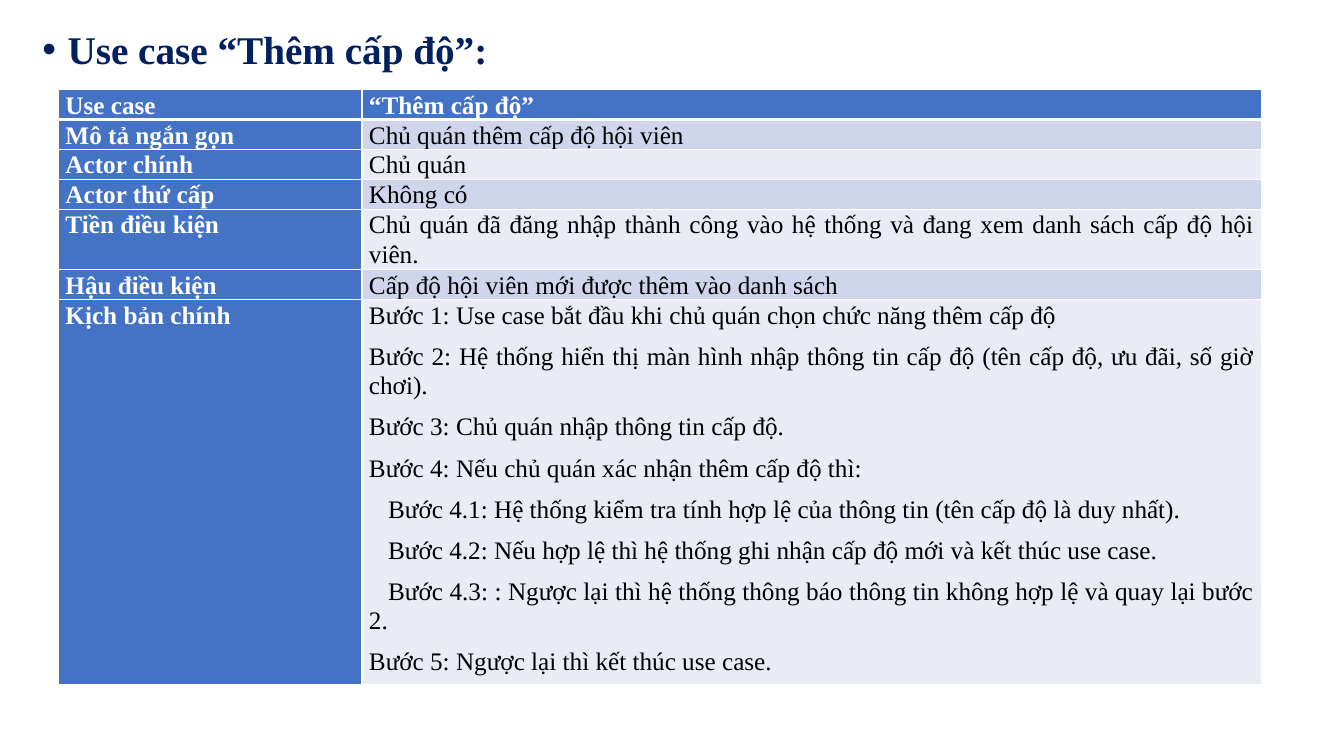
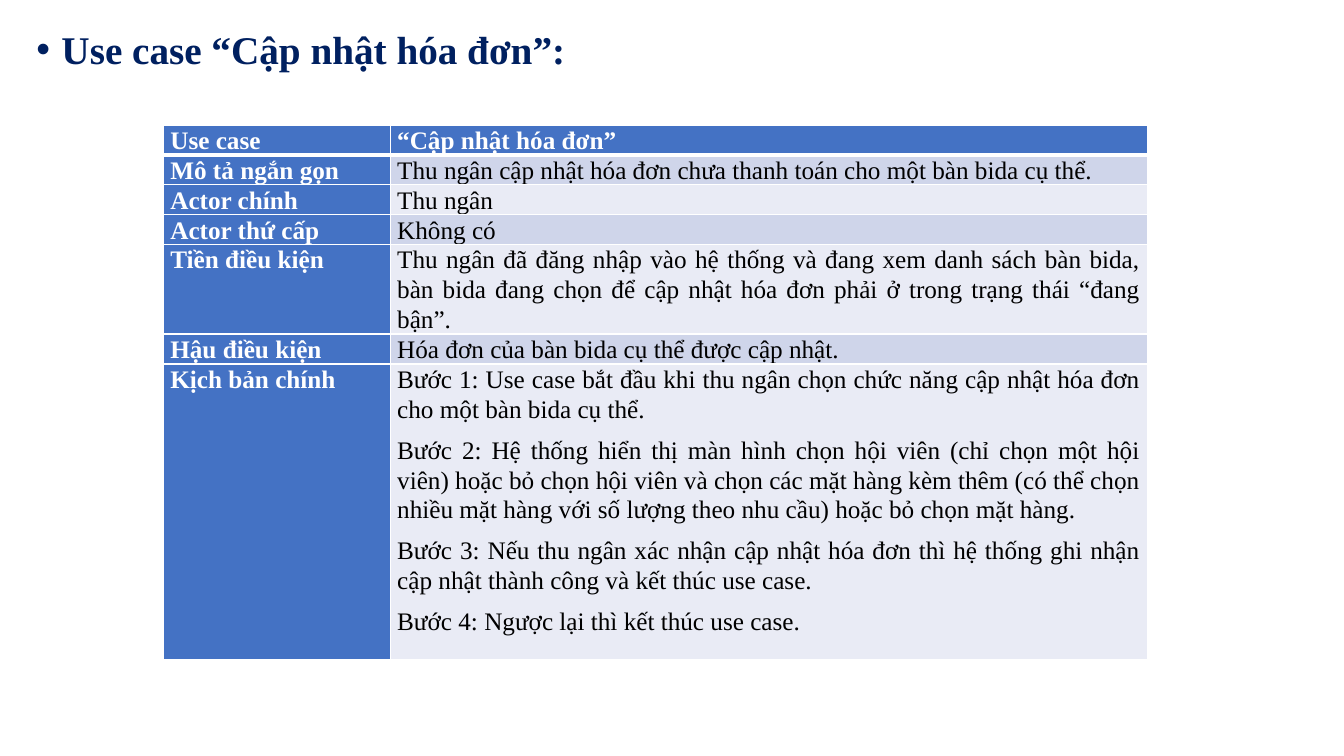
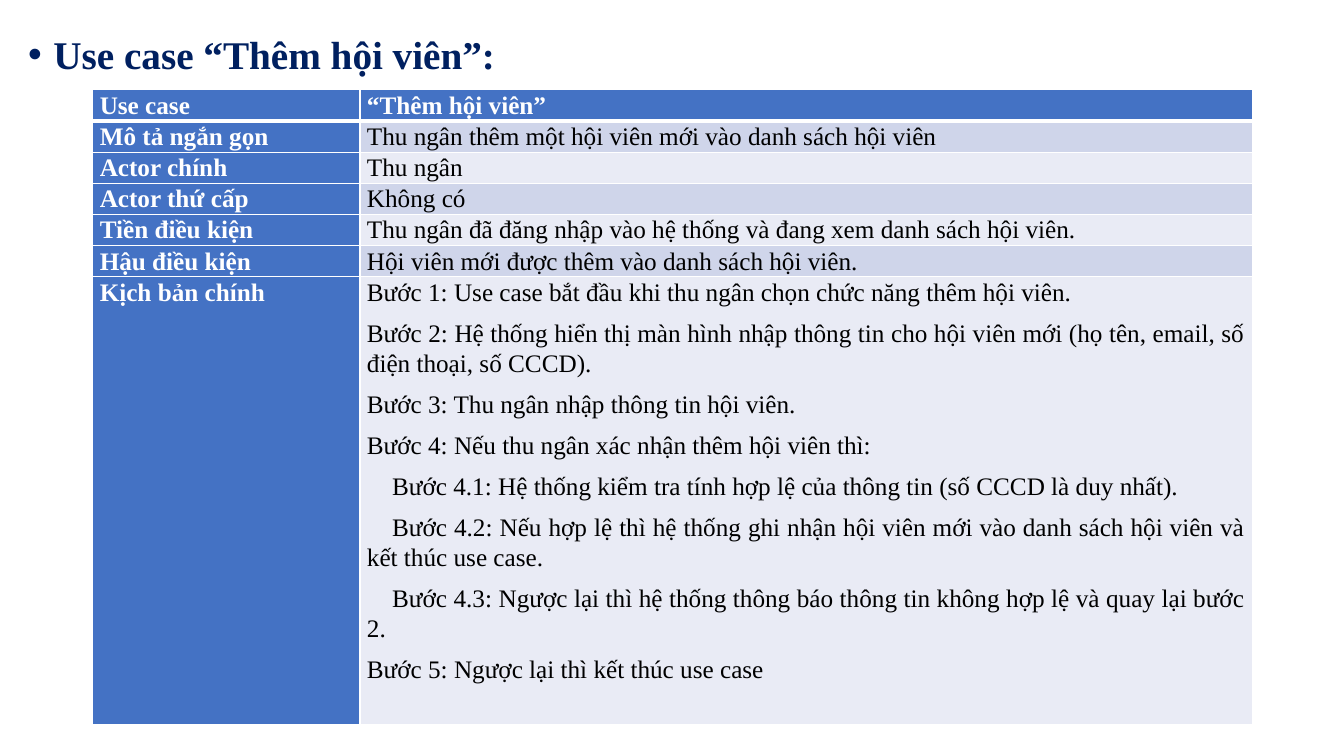
from dataclasses import dataclass

from lxml.etree import SubElement
from pptx import Presentation
from pptx.dml.color import RGBColor
from pptx.enum.text import MSO_ANCHOR as Anchor, MSO_AUTO_SIZE as AutoSize, PP_ALIGN as Align
from pptx.oxml.ns import qn
from pptx.util import Emu, Inches, Pt

# Shared style
FONT = "Times New Roman"
NAVY, BLUE, WHITE, BLACK = "002060", "4472C4", "FFFFFF", "000000"
BANDS = ("E9EBF5", "CFD5EA")
WIDTH, HEIGHT = Inches(13.33), Inches(7.5)
TITLE_WIDTH, TITLE_HEIGHT = 90, 8
CELL_INSET = Inches(0.07)
LABELS = ("Use case", "Mô tả ngắn gọn", "Actor chính", "Actor thứ cấp",
          "Tiền điều kiện", "Hậu điều kiện", "Kịch bản chính")
SUBSTEP = "Bước 4."


@dataclass(frozen=True)
class UseCase:
    """One slide; positions and sizes are percentages of the slide."""
    name: str
    title_at: tuple[float, float]
    table_at: tuple[float, float]
    columns: tuple[float, float]
    line_row: float
    condition_row: float
    steps_row: float
    substep_indent: float  # inches
    facts: tuple[str, ...]
    steps: tuple[str, ...]


USE_CASES = (
    UseCase(
        "“Thêm cấp độ”", (2.4, 3.33), (4.35, 11.87), (22.58, 66.92), 3.87, 8, 50.93, 0.19,
        ("Chủ quán thêm cấp độ hội viên",
         "Chủ quán",
         "Không có",
         "Chủ quán đã đăng nhập thành công vào hệ thống và đang xem danh sách cấp độ hội viên.",
         "Cấp độ hội viên mới được thêm vào danh sách"),
        ("Bước 1: Use case bắt đầu khi chủ quán chọn chức năng thêm cấp độ",
         "Bước 2: Hệ thống hiển thị màn hình nhập thông tin cấp độ (tên cấp độ, ưu đãi, "
         "số giờ chơi).",
         "Bước 3: Chủ quán nhập thông tin cấp độ.",
         "Bước 4: Nếu chủ quán xác nhận thêm cấp độ thì:",
         "Bước 4.1: Hệ thống kiểm tra tính hợp lệ của thông tin (tên cấp độ là duy nhất).",
         "Bước 4.2: Nếu hợp lệ thì hệ thống ghi nhận cấp độ mới và kết thúc use case.",
         "Bước 4.3: : Ngược lại thì hệ thống thông báo thông tin không hợp lệ và quay lại "
         "bước 2.",
         "Bước 5: Ngược lại thì kết thúc use case."),
    ),
    UseCase(
        "“Cập nhật hóa đơn”", (1.95, 3.33), (12.15, 16.53), (16.88, 56.34), 3.6, 11.07, 39.07, 0,
        ("Thu ngân cập nhật hóa đơn chưa thanh toán cho một bàn bida cụ thể.",
         "Thu ngân",
         "Không có",
         "Thu ngân đã đăng nhập vào hệ thống và đang xem danh sách bàn bida, bàn bida đang "
         "chọn để cập nhật hóa đơn phải ở trong trạng thái “đang bận”.",
         "Hóa đơn của bàn bida cụ thể được cập nhật."),
        ("Bước 1: Use case bắt đầu khi thu ngân chọn chức năng cập nhật hóa đơn cho một bàn "
         "bida cụ thể.",
         "Bước 2: Hệ thống hiển thị màn hình chọn hội viên (chỉ chọn một hội viên) hoặc bỏ "
         "chọn hội viên và chọn các mặt hàng kèm thêm (có thể chọn nhiều mặt hàng với số "
         "lượng theo nhu cầu) hoặc bỏ chọn mặt hàng.",
         "Bước 3: Nếu thu ngân xác nhận cập nhật hóa đơn thì hệ thống ghi nhận cập nhật "
         "thành công và kết thúc use case.",
         "Bước 4: Ngược lại thì kết thúc use case."),
    ),
    UseCase(
        "“Thêm hội viên”", (1.35, 4), (6.9, 11.87), (19.88, 66.39), 4.13, 4.13, 59.2, 0.25,
        ("Thu ngân thêm một hội viên mới vào danh sách hội viên",
         "Thu ngân",
         "Không có",
         "Thu ngân đã đăng nhập vào hệ thống và đang xem danh sách hội viên.",
         "Hội viên mới được thêm vào danh sách hội viên."),
        ("Bước 1: Use case bắt đầu khi thu ngân chọn chức năng thêm hội viên.",
         "Bước 2: Hệ thống hiển thị màn hình nhập thông tin cho hội viên mới (họ tên, email, "
         "số điện thoại, số CCCD).",
         "Bước 3: Thu ngân nhập thông tin hội viên.",
         "Bước 4: Nếu thu ngân xác nhận thêm hội viên thì:",
         "Bước 4.1: Hệ thống kiểm tra tính hợp lệ của thông tin (số CCCD là duy nhất).",
         "Bước 4.2: Nếu hợp lệ thì hệ thống ghi nhận hội viên mới vào danh sách hội viên và "
         "kết thúc use case.",
         "Bước 4.3: Ngược lại thì hệ thống thông báo thông tin không hợp lệ và quay lại "
         "bước 2.",
         "Bước 5: Ngược lại thì kết thúc use case"),
    ),
)


def across(percent: float) -> Emu:
    return Emu(round(WIDTH * percent / 100))


def down(percent: float) -> Emu:
    return Emu(round(HEIGHT * percent / 100))


def rgb(color: str) -> RGBColor:
    return RGBColor.from_string(color)


def write(p, text: str, *, size: float = 18, color: str = BLACK, bold: bool = False,
          align=Align.JUSTIFY, spacing: float = 1.07, before: float = 0, after: float = 8,
          margin: float = 0, indent: float = 0, bullet: str = "") -> None:
    """Fill a paragraph with one formatted run."""
    r = p.add_run()
    r.text = text
    r.font.name, r.font.size, r.font.bold = FONT, Pt(size), bold
    r.font.color.rgb = rgb(color)
    p.alignment, p.line_spacing = align, spacing
    p.space_before, p.space_after = Pt(before), Pt(after)
    pPr = p._p.get_or_add_pPr()
    pPr.set("marL", str(Inches(margin)))
    pPr.set("indent", str(Inches(indent)))
    if bullet:
        SubElement(pPr, qn("a:buFont")).set("typeface", "Arial")
        SubElement(pPr, qn("a:buChar")).set("char", bullet)


def add_title(slide, case: UseCase) -> None:
    sp = slide.shapes.title
    left, top = case.title_at
    sp.left, sp.top = across(left), down(top)
    sp.width, sp.height = across(TITLE_WIDTH), down(TITLE_HEIGHT)
    tf = sp.text_frame
    tf.auto_size, tf.vertical_anchor, tf.word_wrap = AutoSize.NONE, Anchor.TOP, True
    write(tf.paragraphs[0], f"Use case {case.name}:", size=28, color=NAVY, bold=True,
          align=Align.LEFT, spacing=0.9, before=10, after=0,
          margin=0.25, indent=-0.25, bullet="•")


def set_borders(cell, top: float, bottom: float) -> None:
    """Draw white cell borders, with widths in points."""
    tcPr = cell._tc.get_or_add_tcPr()
    for side, width in (("L", 1), ("R", 1), ("T", top), ("B", bottom)):
        ln = SubElement(tcPr, qn(f"a:ln{side}"), w=str(Pt(width)))
        fill = SubElement(ln, qn("a:solidFill"))
        SubElement(fill, qn("a:srgbClr"), val=WHITE)


def fill_cell(cell, lines: tuple[str, ...], row: int, is_label: bool, indent: float) -> None:
    is_heading = is_label or row == 0
    set_borders(cell, top=3 if row == 1 else 1, bottom=3 if row == 0 else 1)
    cell.fill.solid()
    cell.fill.fore_color.rgb = rgb(BLUE if is_heading else BANDS[row % 2])
    cell.margin_left = cell.margin_right = CELL_INSET
    cell.margin_top = cell.margin_bottom = 0
    tf = cell.text_frame
    for i, text in enumerate(lines):
        p = tf.add_paragraph() if i else tf.paragraphs[0]
        write(p, text, color=WHITE if is_heading else BLACK, bold=is_heading,
              indent=indent if text.startswith(SUBSTEP) else 0)


def add_use_case_table(slide, case: UseCase) -> None:
    heights = [case.line_row] * 4 + [case.condition_row, case.line_row, case.steps_row]
    left, top = case.table_at
    table = slide.shapes.add_table(len(LABELS), 2, across(left), down(top),
                                   across(sum(case.columns)), down(sum(heights))).table
    for column, width in zip(table.columns, case.columns):
        column.width = across(width)
    values = [(text,) for text in (case.name, *case.facts)] + [case.steps]
    for row, (label, lines, height) in enumerate(zip(LABELS, values, heights)):
        table.rows[row].height = down(height)
        fill_cell(table.cell(row, 0), (label,), row, True, 0)
        fill_cell(table.cell(row, 1), lines, row, False, case.substep_indent)


def main() -> None:
    prs = Presentation()
    prs.slide_width, prs.slide_height = WIDTH, HEIGHT
    title_only = prs.slide_layouts[5]
    for case in USE_CASES:
        slide = prs.slides.add_slide(title_only)
        add_title(slide, case)
        add_use_case_table(slide, case)
    prs.save("out.pptx")


if __name__ == "__main__":
    main()
